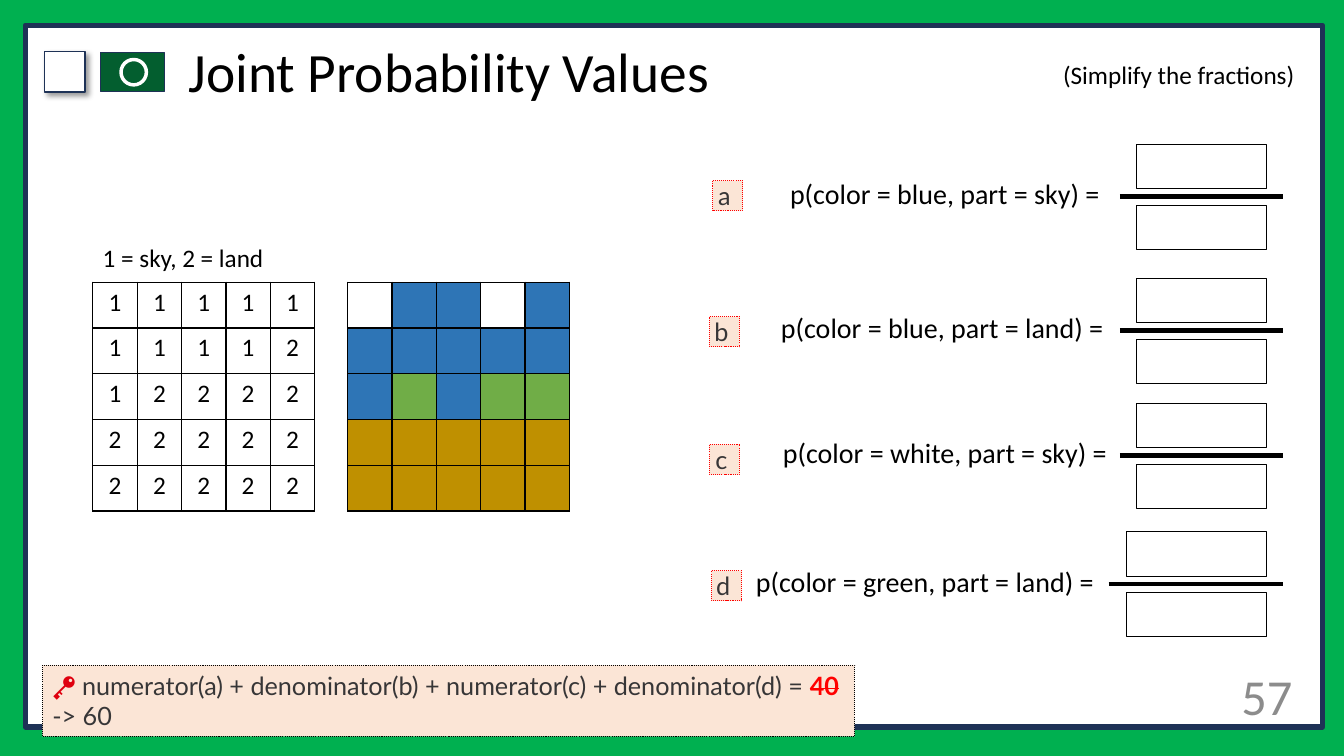
from dataclasses import dataclass

from lxml import etree
from pptx import Presentation
from pptx.dml.color import RGBColor
from pptx.enum.dml import MSO_LINE
from pptx.enum.shapes import MSO_CONNECTOR, MSO_SHAPE
from pptx.enum.text import MSO_ANCHOR, MSO_AUTO_SIZE, PP_ALIGN
from pptx.oxml import parse_xml
from pptx.oxml.ns import nsdecls, qn
from pptx.util import Cm, Pt

RECT, OVAL = MSO_SHAPE.RECTANGLE, MSO_SHAPE.OVAL
LEFT, CENTER, RIGHT = PP_ALIGN.LEFT, PP_ALIGN.CENTER, PP_ALIGN.RIGHT
TOP, MIDDLE = MSO_ANCHOR.TOP, MSO_ANCHOR.MIDDLE
DOTTED = MSO_LINE.ROUND_DOT


@dataclass(frozen=True)
class Theme:
    font: str = "Calibri"
    key_font: str = "Lato"
    title: float = 39.6
    number: float = 36
    question: float = 20
    body: float = 18
    black: str = "000000"
    white: str = "FFFFFF"
    border: str = "00B050"
    navy: str = "1E3256"
    flag: str = "035E2F"
    grey: str = "8C8C8C"
    peach: str = "FBE5D6"
    ink: str = "373637"
    red: str = "FF0000"
    key: str = "DF000F"


THEME = Theme()

# Content
TITLE = "Joint Probability Values"
HINT = "(Simplify the fractions)"
LEGEND = "1 = sky, 2 = land"
PAGE_NUMBER = "57"
PARTS = ["11111", "11112", "12222", "22222", "22222"]
COLORS = ["WBBWB", "BBBBB", "BGBGG", "YYYYY", "YYYYY"]
PALETTE = {"W": "FFFFFF", "B": "2E75B6", "G": "70AD47", "Y": "BF9000"}
# label, question, bar y, bar left, box left, box width, text left, text width, tag left, tag top
QUESTIONS = [
    ("a ", "p(color = blue, part = sky) =", 4.95, 28.22, 28.65, 3.28, 19.66, 8.79, 17.96, 4.55),
    ("b ", "p(color = blue, part = land) =", 8.33, 28.22, 28.65, 3.28, 19.43, 8.79, 17.88, 7.98),
    ("c ", "p(color = white, part = sky) =", 11.48, 28.22, 28.65, 3.28, 19.48, 8.79, 17.88, 11.2),
    ("d ", "p(color = green, part = land) =", 14.71, 27.94, 28.4, 3.51, 18.8, 9.4, 17.93, 14.38),
]
# text, colour, struck through
ANSWER = [
    ("🔑 ", THEME.key, False),
    ("numerator(a) + denominator(b) + numerator(c) + denominator(d) = ", THEME.ink, False),
    ("40", THEME.red, True),
    (" -> 60", THEME.ink, False),
]

# Layout rules, in centimetres
BAR_RIGHT = 32.33
BOX_HEIGHT = 1.12
NUMERATOR_OFFSET, DENOMINATOR_OFFSET, TEXT_OFFSET = -1.31, 0.22, -0.62
TAG_SIZE = 0.76
TABLE_TOP, TABLE_WIDTH, TABLE_HEIGHT = 7.11, 5.59, 5.77


def rgb(color):
    return RGBColor.from_string(color)


def style(font, size, color, name=THEME.font):
    font.size, font.name = Pt(size), name
    font.color.rgb = rgb(color)


def add_box(shapes, kind, place, fill, line, width, dash=None):
    box = shapes.add_shape(kind, *map(Cm, place))
    box.shadow.inherit = False
    if fill:
        box.fill.solid()
        box.fill.fore_color.rgb = rgb(fill)
    else:
        box.fill.background()
    box.line.color.rgb = rgb(line)
    box.line.width = Pt(width)
    if dash:
        box.line.dash_style = dash
    return box


def write(box, text, size, color, name=THEME.font, align=LEFT, anchor=TOP, wrap=True):
    frame = box.text_frame
    frame.text = text
    frame.word_wrap = wrap
    frame.vertical_anchor = anchor
    para = frame.paragraphs[0]
    para.alignment = align
    style(para.runs[0].font, size, color, name)
    return para


def add_text(shapes, place, text, size, color, **options):
    return write(shapes.add_textbox(*map(Cm, place)), text, size, color, **options)


def add_grid(page, left, rows, fills=None):
    count = len(rows)
    place = map(Cm, (left, TABLE_TOP, TABLE_WIDTH, TABLE_HEIGHT))
    table = page.shapes.add_table(count, len(rows[0]), *place).table
    table.first_row = table.horz_banding = False
    for row, symbols in enumerate(rows):
        for column, symbol in enumerate(symbols):
            cell = table.cell(row, column)
            borders = cell._tc.get_or_add_tcPr()
            for side in ("lnL", "lnR", "lnT", "lnB"):
                borders.append(parse_xml(
                    f'<a:{side} {nsdecls("a")} w="12700"><a:solidFill>'
                    f'<a:srgbClr val="{THEME.black}"/></a:solidFill></a:{side}>'))
            cell.fill.solid()
            cell.fill.fore_color.rgb = rgb(fills[symbol] if fills else THEME.white)
            if not fills:
                cell.text = symbol
                para = cell.text_frame.paragraphs[0]
                para.alignment = CENTER
                style(para.runs[0].font, THEME.body, THEME.black)


def add_question(page, label, question, bar_y, bar_left, box_left, box_width,
                 text_left, text_width, tag_left, tag_top):
    group = page.shapes.add_group_shape().shapes
    for offset in (NUMERATOR_OFFSET, DENOMINATOR_OFFSET):
        add_box(group, RECT, (box_left, bar_y + offset, box_width, BOX_HEIGHT),
                None, THEME.black, 0.75)
    bar = group.add_connector(MSO_CONNECTOR.STRAIGHT, Cm(bar_left), Cm(bar_y),
                              Cm(BAR_RIGHT), Cm(bar_y))
    bar.line.color.rgb = rgb(THEME.black)
    bar.line.width = Pt(3)
    etree.SubElement(bar._element.spPr, qn("a:effectLst"))
    add_text(group, (text_left, bar_y + TEXT_OFFSET, text_width, BOX_HEIGHT),
             question, THEME.question, THEME.black)
    tag = add_box(page.shapes, RECT, (tag_left, tag_top, TAG_SIZE, TAG_SIZE),
                  THEME.peach, THEME.red, 0.75, DOTTED)
    frame = tag.text_frame
    frame.margin_left = frame.margin_right = frame.margin_top = frame.margin_bottom = 0
    write(tag, label, THEME.body, THEME.ink, THEME.key_font, CENTER)
    frame.auto_size = MSO_AUTO_SIZE.SHAPE_TO_FIT_TEXT


def main():
    deck = Presentation()
    deck.slide_width, deck.slide_height = Cm(33.87), Cm(19.05)
    page = deck.slides.add_slide(deck.slide_layouts[5])
    shapes = page.shapes
    page.background.fill.solid()
    page.background.fill.fore_color.rgb = rgb(THEME.border)

    # Frame, checkbox and flag
    add_box(shapes, RECT, (0.64, 0.64, 32.69, 17.68), THEME.white, THEME.navy, 4)
    checkbox = add_box(shapes, RECT, (1.12, 1.3, 1.02, 1.02), THEME.white, THEME.navy, 1)
    checkbox._element.spPr.find(qn("a:effectLst")).append(parse_xml(
        f'<a:outerShdw {nsdecls("a")} blurRad="50800" dist="38100" dir="2700000">'
        f'<a:srgbClr val="{THEME.black}"><a:alpha val="40000"/></a:srgbClr></a:outerShdw>'))
    add_box(shapes, RECT, (2.54, 1.32, 1.6, 0.99), THEME.flag, THEME.navy, 1)
    add_box(shapes, OVAL, (3.05, 1.5, 0.64, 0.64), THEME.flag, THEME.white, 2.5)

    # Title, brought in front of the frame
    title = shapes.title
    title.left, title.top, title.width, title.height = map(Cm, (4.5, 1.02, 27.05, 1.73))
    write(title, TITLE, THEME.title, THEME.black, anchor=MIDDLE).line_spacing = 0.9
    title.text_frame.auto_size = MSO_AUTO_SIZE.NONE
    shapes._spTree.append(title._element)

    # Page number and captions
    add_text(shapes, (29.64, 16.43, 3.18, 2.18), PAGE_NUMBER, THEME.number, THEME.grey,
             align=RIGHT, anchor=MIDDLE)
    add_text(shapes, (26.54, 1.37, 6.43, 1.02), HINT, THEME.body, THEME.black, wrap=False)
    add_text(shapes, (2.34, 5.99, 4.62, 1.02), LEGEND, THEME.body, THEME.black, wrap=False)

    # Part and colour grids
    add_grid(page, 2.34, PARTS)
    add_grid(page, 8.76, COLORS, PALETTE)

    # Questions with fraction boxes
    for question in QUESTIONS:
        add_question(page, *question)

    # Answer key
    answer = add_box(shapes, RECT, (1.07, 16.76, 20.47, 1.8),
                     THEME.peach, THEME.black, 0.75, DOTTED)
    answer.text_frame.word_wrap = True
    answer.text_frame.vertical_anchor = TOP
    answer.text_frame.auto_size = MSO_AUTO_SIZE.SHAPE_TO_FIT_TEXT
    para = answer.text_frame.paragraphs[0]
    para.alignment = LEFT
    for text, color, struck in ANSWER:
        span = para.add_run()
        span.text = text
        style(span.font, THEME.body, color, THEME.key_font)
        if struck:
            span.font.bold = True
            span._r.get_or_add_rPr().set("strike", "sngStrike")

    deck.save("out.pptx")


if __name__ == "__main__":
    main()
